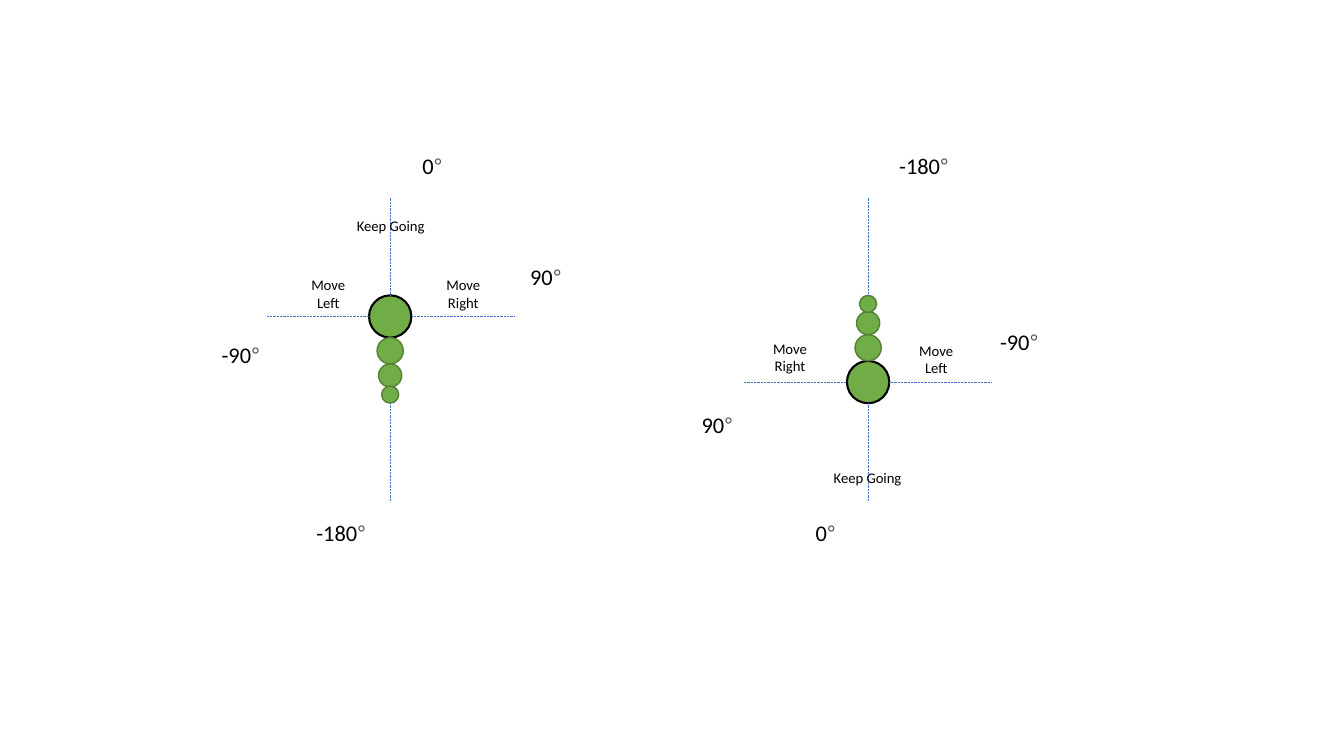
from lxml.etree import SubElement
from pptx import Presentation
from pptx.dml.color import RGBColor
from pptx.enum.dml import MSO_LINE
from pptx.enum.shapes import MSO_CONNECTOR, MSO_SHAPE
from pptx.enum.text import MSO_AUTO_SIZE, PP_ALIGN
from pptx.oxml.ns import qn
from pptx.util import Pt

PX = 9144  # 100 px to the inch
COLORS = {name: RGBColor.from_string(value) for name, value in {
    "body": "70AD47", "outline": "538035", "axis": "4472C4",
    "black": "000000", "degree": "4D5156"}.items()}

deck = Presentation()
deck.slide_width, deck.slide_height = 1333 * PX, 750 * PX
page = deck.slides.add_slide(deck.slide_layouts[6])


def add_text(left, top, width, height, lines, size=10.5,
             align=PP_ALIGN.CENTER, wrap=False, unit=""):
    """Place one paragraph per line, each followed by an optional unit sign."""
    box = page.shapes.add_textbox(left * PX, top * PX, width * PX, height * PX)
    frame = box.text_frame
    frame.word_wrap = wrap
    frame.auto_size = MSO_AUTO_SIZE.SHAPE_TO_FIT_TEXT
    for index, line in enumerate(lines):
        para = frame.add_paragraph() if index else frame.paragraphs[0]
        para.alignment = align
        for text, font_name, color in ((line, "Calibri", "black"),
                                       (unit, "Arial", "degree")):
            if text:
                span = para.add_run()
                span.text = text
                span.font.size = Pt(size)
                span.font.name = font_name
                span.font.color.rgb = COLORS[color]


# Snake with its four axes: the right one is the left one turned around
segments = [(293, 42, "black", 1.5), (335, 26, "outline", 1),
            (361, 23, "outline", 1), (383, 17, "outline", 1)]
for center, turn in ((387, 0), (861, 180)):
    # A turned group mirrors about the middle of its bounds, 1 px off the axis
    middle = center if turn == 0 else center - 1
    snake = page.shapes.add_group_shape()
    for top, size, outline, weight in segments:
        segment = snake.shapes.add_shape(
            MSO_SHAPE.OVAL, round((middle - size / 2) * PX), top * PX,
            size * PX, size * PX)
        segment.shadow.inherit = False
        segment.fill.solid()
        segment.fill.fore_color.rgb = COLORS["body"]
        segment.line.color.rgb = COLORS[outline]
        segment.line.width = Pt(weight)
    axes = [(0, 196, 0, 293), (0, 400, 0, 497),
            (22, 314, 124, 314), (-21, 314, -123, 314)]
    for start_x, start_y, end_x, end_y in axes:
        axis = snake.shapes.add_connector(
            MSO_CONNECTOR.STRAIGHT, (middle + start_x) * PX, start_y * PX,
            (middle + end_x) * PX, end_y * PX)
        axis.line.color.rgb = COLORS["axis"]
        axis.line.width = Pt(0.5)
        axis.line.dash_style = MSO_LINE.ROUND_DOT
        SubElement(axis._element.spPr, qn("a:effectLst"))
    snake.rotation = turn

angles = [(409, 146, 41, "0"), (799, 510, 41, "0"),
          (516, 256, 52, "90"), (686, 403, 52, "90"),
          (982, 321, 59, "-90"), (882, 146, 70, "-180"),
          (304, 510, 70, "-180"), (210, 334, 59, "-90")]
for left, top, width, angle in angles:
    add_text(left, top, width, 37, [angle], size=16, align=PP_ALIGN.LEFT, unit="°")

moves = [(298, 269, "Left"), (901, 334, "Left"),
         (756, 332, "Right"), (432, 269, "Right")]
for left, top, side in moves:
    add_text(left, top, 55, 45, ["Move", side])

for left, top in ((784, 460), (311, 210)):
    add_text(left, top, 153, 28, ["Keep Going"], wrap=True)

deck.save("out.pptx")
